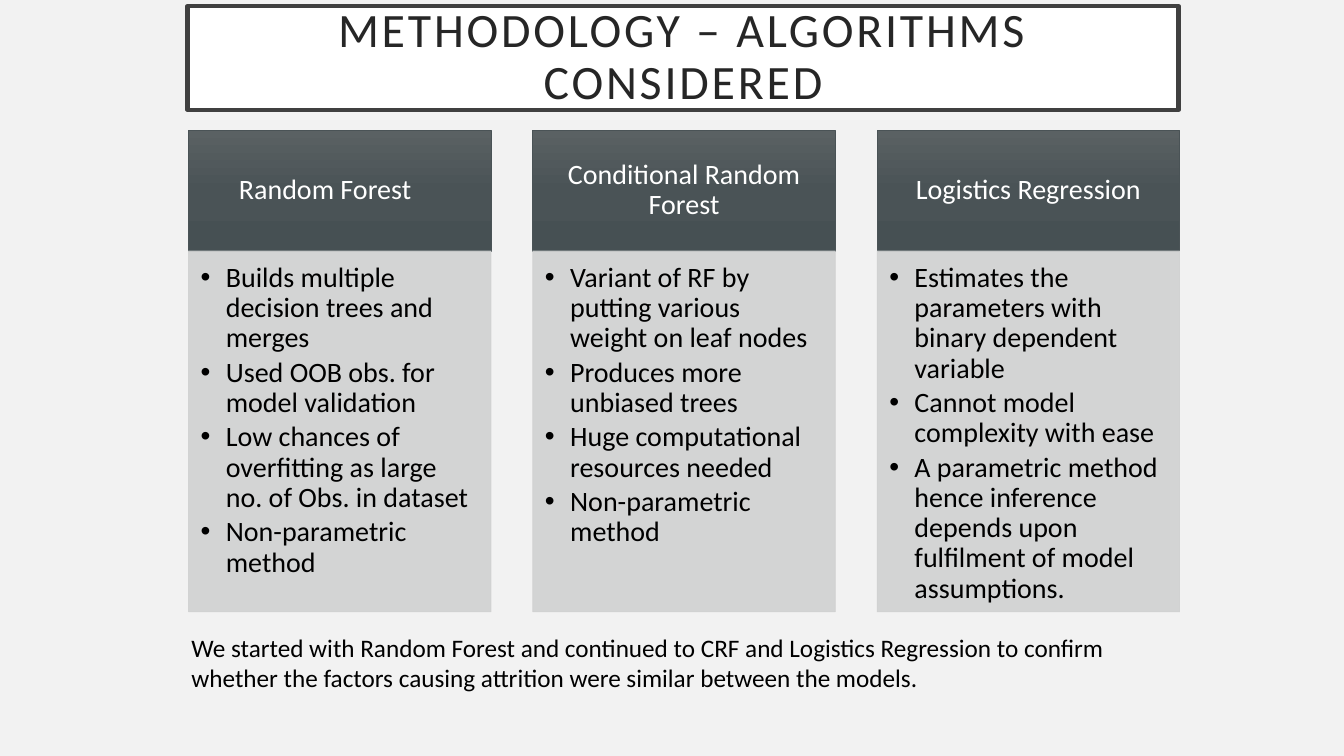
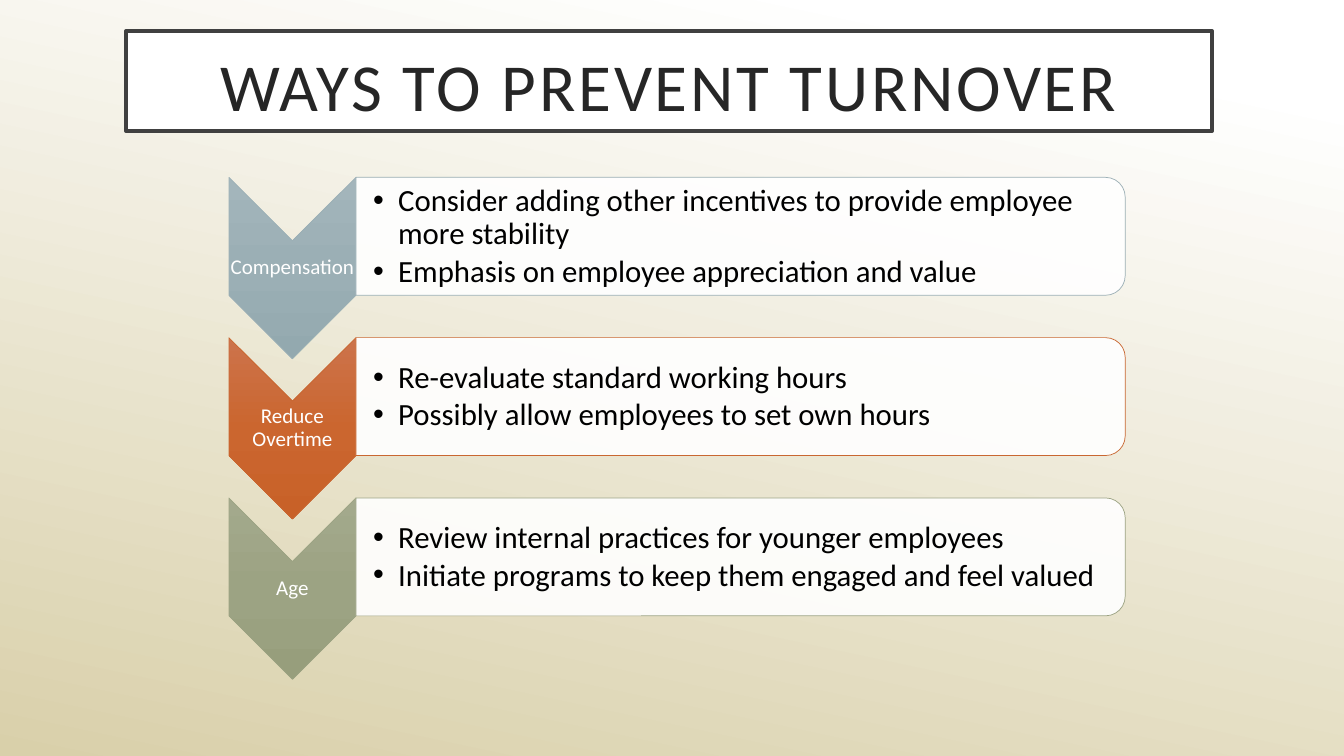
from dataclasses import dataclass

from lxml import etree
from pptx import Presentation
from pptx.dml import color, fill as fills
from pptx.enum import shapes, text
from pptx.oxml import ns
from pptx.util import Inches, Pt

RGBColor = color.RGBColor
Shape = shapes.MSO_SHAPE
Anchor = text.MSO_ANCHOR
Align = text.PP_ALIGN

FONT = "Calibri"
WHITE = RGBColor(0xFF, 0xFF, 0xFF)
BLACK = RGBColor(0x00, 0x00, 0x00)
TITLE_TEXT = RGBColor(0x26, 0x26, 0x26)
TITLE_BORDER = RGBColor(0x40, 0x40, 0x40)
PALE_GRAY = RGBColor(0xF2, 0xF2, 0xF2)
PANEL_GRAY = RGBColor(0xD0, 0xD1, 0xD1)
SAND = RGBColor(0xD9, 0xD0, 0xAA)


@dataclass(frozen=True)
class Box:
    left: float
    top: float
    width: float
    height: float

    def lengths(self) -> list:
        return [Inches(n) for n in (self.left, self.top, self.width, self.height)]

    def before_quarter_turn(self) -> "Box":
        shift = (self.width - self.height) / 2
        return Box(self.left + shift, self.top - shift, self.height, self.width)


@dataclass(frozen=True)
class Palette:
    light: RGBColor
    middle: RGBColor
    dark: RGBColor
    line: RGBColor

    def stops(self) -> list:
        return [(0, self.light), (50, self.middle), (100, self.dark)]


@dataclass(frozen=True)
class TextStyle:
    size: float
    color: RGBColor
    anchor: Anchor = Anchor.MIDDLE
    align: Align = Align.CENTER
    insets: tuple = (0.1, 0.05, 0.1, 0.05)
    line_spacing: float = 0.9
    bulleted: bool = False


@dataclass(frozen=True)
class Topic:
    name: str
    points: list
    palette: Palette


SLATE = Palette(RGBColor(0x5A, 0x61, 0x63), RGBColor(0x4A, 0x53, 0x56),
                RGBColor(0x46, 0x50, 0x53), RGBColor(0x4A, 0x53, 0x56))
BLUE_GRAY = Palette(RGBColor(0xA3, 0xB5, 0xBB), RGBColor(0x9B, 0xAF, 0xB5),
                    RGBColor(0x93, 0xA9, 0xAF), RGBColor(0x9B, 0xAF, 0xB5))
ORANGE = Palette(RGBColor(0xCC, 0x73, 0x4B), RGBColor(0xCB, 0x66, 0x2F),
                 RGBColor(0xC8, 0x61, 0x28), RGBColor(0xC9, 0x67, 0x31))
SAGE = Palette(RGBColor(0xA3, 0xA9, 0x8C), RGBColor(0x9C, 0xA3, 0x83),
               RGBColor(0x97, 0x9E, 0x7C), RGBColor(0x9C, 0xA3, 0x83))

HEADER = TextStyle(20, WHITE, insets=(0.16, 0.09, 0.16, 0.09))
COLUMN_LIST = TextStyle(20, BLACK, Anchor.TOP, Align.LEFT,
                        (0.12, 0.12, 0.16, 0.17), bulleted=True)
CAPTION = TextStyle(18, BLACK, Anchor.TOP, Align.LEFT, line_spacing=1.0)
CHEVRON_LABEL = TextStyle(15, WHITE, insets=(0.01,) * 4)
ROW_LIST = TextStyle(22, BLACK, align=Align.LEFT,
                     insets=(0.17, 0.02, 0.02, 0.02), bulleted=True)

ALGORITHMS = [
    Topic("Random Forest\t", [
        "Builds multiple decision trees and merges",
        "Used OOB obs. for model validation",
        "Low chances of overfitting as large no. of Obs. in dataset",
        "Non-parametric method"], SLATE),
    Topic("Conditional Random Forest", [
        "Variant of RF by putting various weight on leaf nodes",
        "Produces more unbiased trees",
        "Huge computational resources needed",
        "Non-parametric method"], SLATE),
    Topic("Logistics Regression", [
        "Estimates the parameters with binary dependent variable",
        "Cannot model complexity with ease",
        "A parametric method hence inference depends upon fulfilment of "
        "model assumptions."], SLATE),
]
CAPTION_TEXT = ("We started with Random Forest and continued to CRF and Logistics "
                "Regression to confirm whether the factors causing attrition were "
                "similar between the models.")
MEASURES = [
    Topic("Compensation", [
        "Consider adding other incentives to provide employee more stability",
        "Emphasis on employee appreciation and value"], BLUE_GRAY),
    Topic("Reduce Overtime", [
        "Re-evaluate standard working hours",
        "Possibly allow employees to set own hours"], ORANGE),
    Topic("Age", [
        "Review internal practices for younger employees",
        "Initiate programs to keep them engaged and feel valued"], SAGE),
]


def set_gradient(fill: fills.FillFormat, owner, stops: list, angle: float) -> None:
    fill.gradient()
    fill.gradient_angle = 360 - angle
    gradient = next(owner.iter(ns.qn("a:gradFill")))
    gradient.set("rotWithShape", "0")
    stop_list = gradient.find(ns.qn("a:gsLst"))
    for stop in list(stop_list):
        stop_list.remove(stop)
    for position, rgb in stops:
        stop = etree.SubElement(stop_list, ns.qn("a:gs"), pos=str(position * 1000))
        etree.SubElement(stop, ns.qn("a:srgbClr"), val=str(rgb))


def set_opacity(parent, percent: int) -> None:
    rgb = parent.find(ns.qn("a:solidFill")).find(ns.qn("a:srgbClr"))
    etree.SubElement(rgb, ns.qn("a:alpha"), val=str(percent * 1000))


def write_text(shape, lines: list, style: TextStyle) -> None:
    frame = shape.text_frame
    frame.text = "\n".join(lines)
    frame.word_wrap = True
    frame.auto_size = text.MSO_AUTO_SIZE.NONE
    frame.vertical_anchor = style.anchor
    (frame.margin_left, frame.margin_top,
     frame.margin_right, frame.margin_bottom) = map(Inches, style.insets)
    for paragraph in frame.paragraphs:
        paragraph.alignment = style.align
        paragraph.line_spacing = style.line_spacing
        if style.bulleted:
            paragraph.space_after = Pt(3)
            properties = paragraph._p.get_or_add_pPr()
            properties.set("marL", str(Inches(0.25)))
            properties.set("indent", str(Inches(-0.25)))
            etree.SubElement(properties, ns.qn("a:buFont"), typeface="Arial")
            etree.SubElement(properties, ns.qn("a:buChar"), char="•")
        for run in paragraph.runs:
            run.font.name = FONT
            run.font.size = Pt(style.size)
            run.font.color.rgb = style.color


def add_text(slide, box: Box, lines: list, style: TextStyle):
    shape = slide.shapes.add_textbox(*box.lengths())
    write_text(shape, lines, style)
    return shape


def add_outlined(slide, kind: Shape, box: Box, line: RGBColor):
    shape = slide.shapes.add_shape(kind, *box.lengths())
    shape.shadow.inherit = False
    shape.line.color.rgb = line
    shape.line.width = Pt(0.5)
    return shape


def add_gradient_shape(slide, kind: Shape, box: Box, palette: Palette):
    shape = add_outlined(slide, kind, box, palette.line)
    set_gradient(shape.fill, shape._element.spPr, palette.stops(), 90)
    return shape


def add_panel(slide, kind: Shape, box: Box, rgb: RGBColor, line: RGBColor):
    shape = add_outlined(slide, kind, box, line)
    shape.fill.solid()
    shape.fill.fore_color.rgb = rgb
    set_opacity(shape._element.spPr, 90)
    return shape


def add_titled_slide(presentation, title: str, box: Box, style: TextStyle):
    slide = presentation.slides.add_slide(presentation.slide_layouts[5])
    shape = slide.shapes.title
    shape.left, shape.top, shape.width, shape.height = box.lengths()
    shape.fill.solid()
    shape.fill.fore_color.rgb = WHITE
    shape.line.color.rgb = TITLE_BORDER
    shape.line.width = Pt(3)
    write_text(shape, [title], style)
    for run in shape.text_frame.paragraphs[0].runs:
        run._r.get_or_add_rPr().set("spc", "200")
    return slide


def build_algorithms(presentation) -> None:
    slide = add_titled_slide(
        presentation, "METHODOLOGY – ALGORITHMS CONSIDERED",
        Box(1.86, 0.06, 9.83, 1.03),
        TextStyle(34.2, TITLE_TEXT, insets=(0.3, 0.2, 0.3, 0.2)))
    slide.background.fill.solid()
    slide.background.fill.fore_color.rgb = PALE_GRAY

    left, top, width, header_height, list_height = 1.87, 1.29, 3, 1.2, 3.58
    gap = (9.83 - len(ALGORITHMS) * width) / (len(ALGORITHMS) - 1)
    for index, topic in enumerate(ALGORITHMS):
        column_left = left + index * (width + gap)
        header = add_gradient_shape(
            slide, Shape.RECTANGLE,
            Box(column_left, top, width, header_height), topic.palette)
        write_text(header, [topic.name], HEADER)
        panel = add_panel(
            slide, Shape.RECTANGLE,
            Box(column_left, top + header_height, width, list_height),
            PANEL_GRAY, PANEL_GRAY)
        set_opacity(panel._element.spPr.find(ns.qn("a:ln")), 90)
        write_text(panel, topic.points, COLUMN_LIST)

    caption = add_text(slide, Box(1.8, 6.22, 10, 0.71), [CAPTION_TEXT], CAPTION)
    caption.text_frame.auto_size = text.MSO_AUTO_SIZE.SHAPE_TO_FIT_TEXT


def build_measures(presentation) -> None:
    slide = add_titled_slide(
        presentation, "WAYS TO PREVENT TURNOVER", Box(1.25, 0.31, 10.77, 0.99),
        TextStyle(48, TITLE_TEXT, Anchor.BOTTOM))
    set_gradient(slide.background.fill, slide._element,
                 [(10, WHITE), (100, SAND)], 102)

    left, top, row_pitch = 2.27, 1.76, 1.59
    chevron_width, panel_width, panel_height = 1.26, 7.63, 1.17
    panel_left = left + chevron_width
    for index, topic in enumerate(MEASURES):
        row_top = top + index * row_pitch
        chevron = add_gradient_shape(
            slide, Shape.CHEVRON,
            Box(left, row_top, chevron_width, 1.8).before_quarter_turn(),
            topic.palette)
        panel = add_panel(
            slide, Shape.ROUND_2_SAME_RECTANGLE,
            Box(panel_left, row_top, panel_width, panel_height).before_quarter_turn(),
            WHITE, topic.palette.line)
        chevron.rotation = panel.rotation = 90
        add_text(slide, Box(left, row_top + 0.63, chevron_width, 0.54),
                 [topic.name], CHEVRON_LABEL)
        add_text(slide, Box(panel_left, row_top + 0.06, 7.57, 1.06),
                 topic.points, ROW_LIST)


def main() -> None:
    presentation = Presentation()
    presentation.slide_width = Inches(13.33)
    presentation.slide_height = Inches(7.5)
    build_algorithms(presentation)
    build_measures(presentation)
    presentation.save("out.pptx")


if __name__ == "__main__":
    main()
